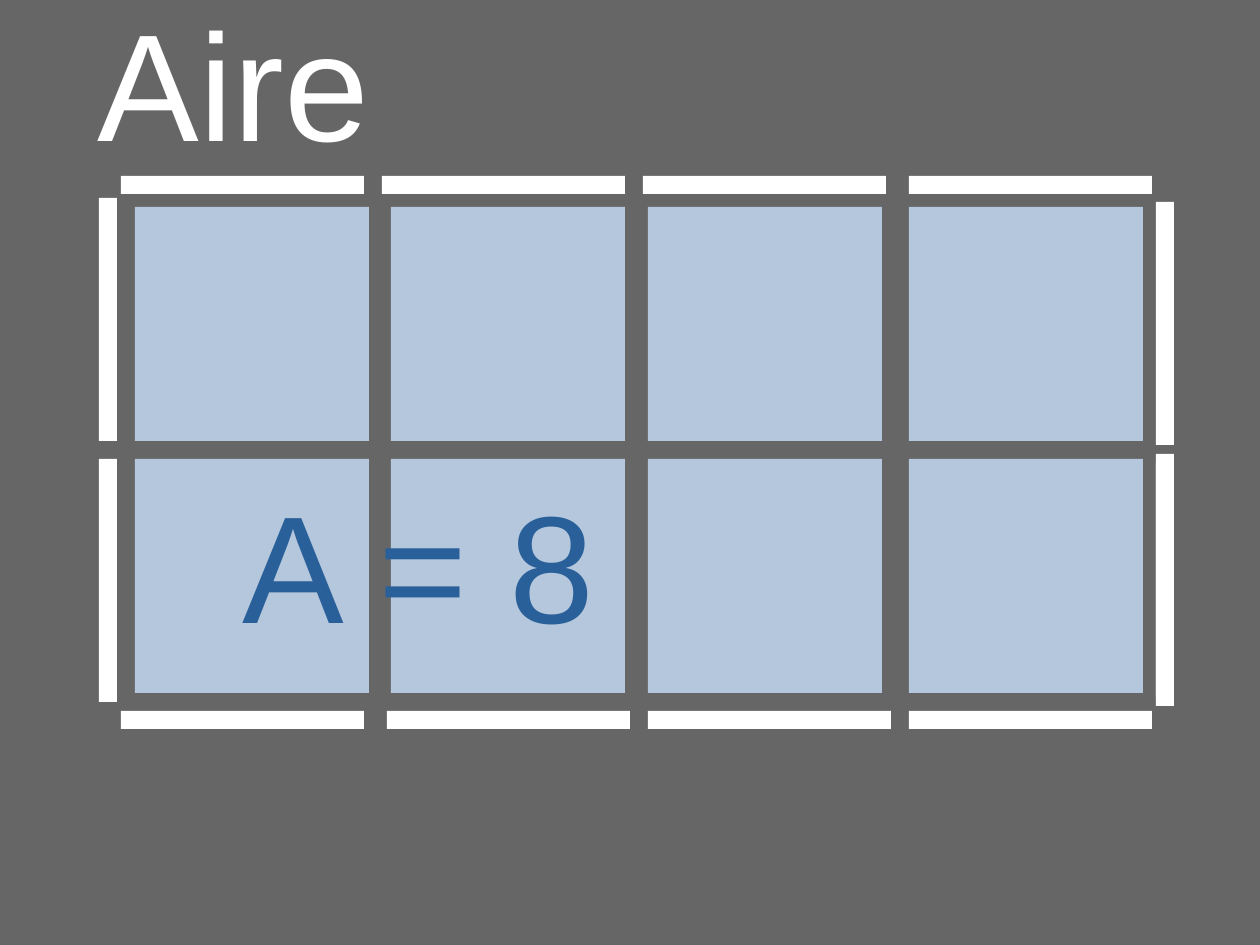
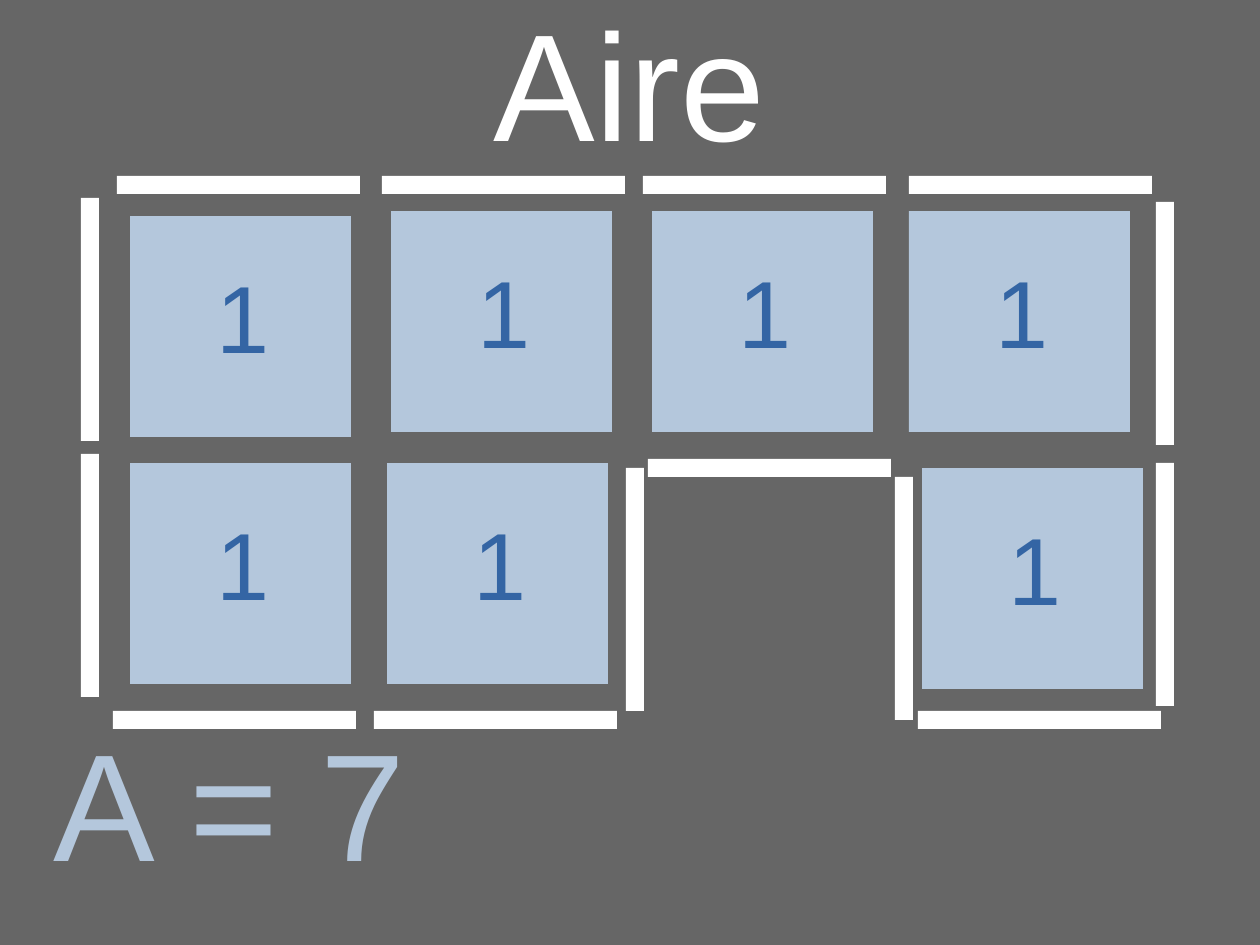
import pptx
import pptx.util
import pptx.dml.color
import pptx.enum.shapes
import pptx.enum.text

RGBColor = pptx.dml.color.RGBColor
GREY = RGBColor(0x66, 0x66, 0x66)
WHITE = RGBColor(0xFF, 0xFF, 0xFF)
PALE_BLUE = RGBColor(0xB4, 0xC7, 0xDC)
DEEP_BLUE = RGBColor(0x2A, 0x60, 0x99)
UNIT_BLUE = RGBColor(0x34, 0x65, 0xA4)
ALIGN = pptx.enum.text.PP_ALIGN
ANCHOR = pptx.enum.text.MSO_ANCHOR

EMU_PER_PX = 8000
SLIDE_SIZE = (1260, 945)
FONT = "Arial"
STICK_LENGTH, STICK_WIDTH = 243, 18
HEADING_SIZE = (721, 198)
HEADING_TOP = -18
UNIT_OFFSET, UNIT_SIZE, UNIT_MARGINS = (76, 36), (75, 118), (11, 6)
TOP_EDGE, BOTTOM_EDGE, RIGHT_EDGE = 176, 711, 1156

FIGURES = [
    {
        "title": "Aire",
        "title_left": -127,
        "answer": "A = 8",
        "answer_at": (243, 464),
        "answer_color": DEEP_BLUE,
        "rows": {TOP_EDGE: (121, 382, 643, 909), BOTTOM_EDGE: (121, 387, 648, 909)},
        "columns": {99: (198, 459), RIGHT_EDGE: (202, 454, 463)},
        "square_side": 234,
        "squares": [(x, y) for y in (207, 459) for x in (135, 391, 648, 909)],
        "unit": None,
    },
    {
        "title": "Aire",
        "title_left": 269,
        "answer": "A = 7",
        "answer_at": (54, 702),
        "answer_color": PALE_BLUE,
        "rows": {TOP_EDGE: (117, 382, 643, 909), 459: (648,), BOTTOM_EDGE: (113, 374, 918)},
        "columns": {81: (198, 454), 626: (468,), 895: (477,), RIGHT_EDGE: (202, 463)},
        "square_side": 221,
        "squares": [(130, 216), (391, 211), (652, 211), (909, 211),
                    (130, 463), (387, 463), (922, 468)],
        "unit": "1",
    },
]


def px(*lengths):
    return [pptx.util.Emu(length * EMU_PER_PX) for length in lengths]


def add_block(shapes, left, top, width, height, color):
    block = shapes.add_shape(pptx.enum.shapes.MSO_SHAPE.RECTANGLE, *px(left, top, width, height))
    block.shadow.inherit = False
    block.fill.solid()
    block.fill.fore_color.rgb = color
    block.line.fill.background()


def add_text(shapes, text, at, area, color, size=96, align=ALIGN.LEFT,
             anchor=ANCHOR.MIDDLE, margins=(0, 0), wrap=True):
    frame = shapes.add_textbox(*px(*at, *area)).text_frame
    frame.word_wrap = wrap
    frame.vertical_anchor = anchor
    frame.margin_left, frame.margin_top = px(*margins)
    frame.margin_right, frame.margin_bottom = px(*margins)
    paragraph = frame.paragraphs[0]
    paragraph.alignment = align
    run = paragraph.add_run()
    run.text = text
    run.font.name = FONT
    run.font.size = pptx.util.Pt(size)
    run.font.color.rgb = color


def add_square(shapes, left, top, side, unit):
    if unit:
        shapes = shapes.add_group_shape().shapes
    add_block(shapes, left, top, side, side, PALE_BLUE)
    if unit:
        at = (left + UNIT_OFFSET[0], top + UNIT_OFFSET[1])
        add_text(shapes, unit, at, UNIT_SIZE, UNIT_BLUE, size=60,
                 anchor=ANCHOR.TOP, margins=UNIT_MARGINS, wrap=False)


def add_figure(deck, figure):
    slide = deck.slides.add_slide(deck.slide_layouts[6])
    slide.background.fill.solid()
    slide.background.fill.fore_color.rgb = GREY
    shapes = slide.shapes
    add_text(shapes, figure["title"], (figure["title_left"], HEADING_TOP),
             HEADING_SIZE, WHITE, align=ALIGN.CENTER)
    for top, lefts in figure["rows"].items():
        for left in lefts:
            add_block(shapes, left, top, STICK_LENGTH, STICK_WIDTH, WHITE)
    for left, tops in figure["columns"].items():
        for top in tops:
            add_block(shapes, left, top, STICK_WIDTH, STICK_LENGTH, WHITE)
    for left, top in figure["squares"]:
        add_square(shapes, left, top, figure["square_side"], figure["unit"])
    add_text(shapes, figure["answer"], figure["answer_at"], HEADING_SIZE, figure["answer_color"])


def main():
    deck = pptx.Presentation()
    deck.slide_width, deck.slide_height = px(*SLIDE_SIZE)
    for figure in FIGURES:
        add_figure(deck, figure)
    deck.save("out.pptx")


if __name__ == "__main__":
    main()
